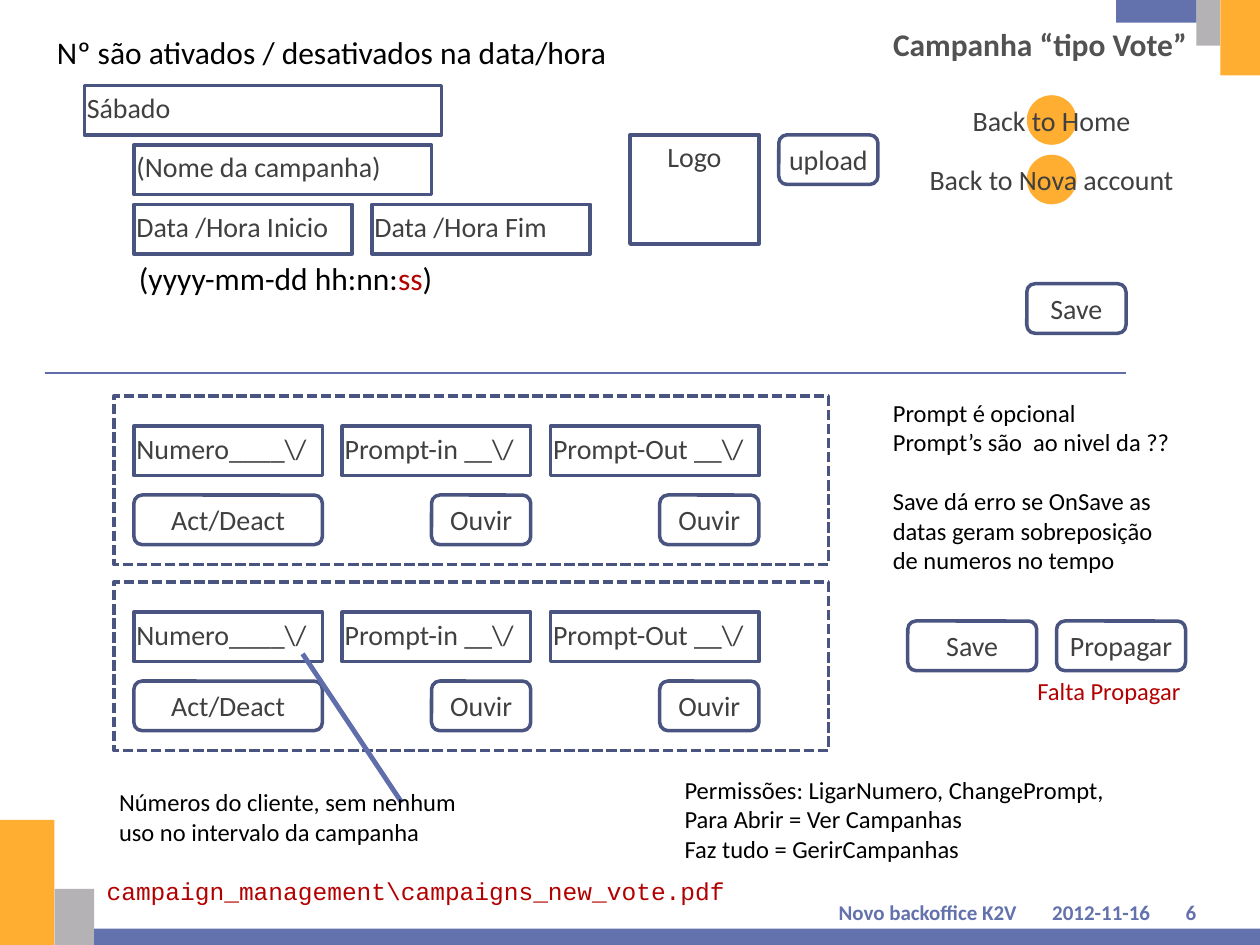
"""Build the campaign form wireframe slide."""
from dataclasses import dataclass
from typing import NamedTuple, Optional

from lxml.etree import SubElement
from pptx import Presentation
from pptx.dml.color import RGBColor
from pptx.enum.dml import MSO_LINE_DASH_STYLE as Dash
from pptx.enum.shapes import MSO_CONNECTOR, MSO_SHAPE as Kind
from pptx.enum.text import MSO_ANCHOR as Anchor, MSO_AUTO_SIZE, PP_ALIGN as Align
from pptx.oxml.ns import qn
from pptx.util import Cm, Pt

ORANGE = RGBColor(0xFF, 0xAE, 0x31)
GREY = RGBColor(0xB5, 0xB2, 0xB5)
BLUE = RGBColor(0x63, 0x71, 0xAD)
LINE_BLUE = RGBColor(0x5F, 0x6D, 0xAB)
BORDER = RGBColor(0x49, 0x54, 0x80)
TITLE = RGBColor(0x52, 0x52, 0x52)
INK = RGBColor(0x40, 0x40, 0x40)
BLACK = RGBColor(0, 0, 0)
RED = RGBColor(0xB3, 0, 0)


class Area(NamedTuple):
    left: float
    top: float
    width: float
    height: float


class Insets(NamedTuple):
    left: float
    top: float
    right: float
    bottom: float


class Piece(NamedTuple):
    text: str
    color: RGBColor


DEFAULT = Insets(0.25, 0.13, 0.25, 0.13)
SMALL = Insets(0.1, 0.1, 0.1, 0.1)
FIELD = Insets(0.05, 0.1, 0.05, 0.1)
FOOTER = Insets(0.2, 0.2, 0.2, 0)


@dataclass(frozen=True)
class Style:
    size: float
    color: RGBColor = BLACK
    font: str = "Calibri"
    bold: bool = False
    align: Align = Align.LEFT
    anchor: Anchor = Anchor.TOP
    insets: Insets = SMALL
    wrap: bool = True
    gap: float = 0


@dataclass(frozen=True)
class Box:
    area: Area
    text: str = ""
    kind: Kind = Kind.RECTANGLE
    style: Style = Style(16, INK, insets=FIELD)
    fill: Optional[RGBColor] = None
    dashed: bool = False


@dataclass(frozen=True)
class Label:
    area: Area
    paragraphs: tuple
    style: Style


@dataclass(frozen=True)
class Rule:
    start: tuple
    end: tuple
    weight: float


CENTERED = Style(16, INK, align=Align.CENTER, insets=FIELD)
BUBBLE = Style(16, INK, align=Align.CENTER, anchor=Anchor.MIDDLE, wrap=False)
NOTE = Style(14)
FOOT = {"size": 12, "color": BLUE, "bold": True, "anchor": Anchor.MIDDLE, "insets": FOOTER}


def write_text(shape, paragraphs: tuple, style: Style) -> None:
    """Fill a shape with styled paragraphs of text pieces."""
    frame = shape.text_frame
    frame.auto_size = MSO_AUTO_SIZE.NONE
    frame.word_wrap = style.wrap
    frame.vertical_anchor = style.anchor
    frame.margin_left, frame.margin_top, frame.margin_right, frame.margin_bottom = map(
        Cm, style.insets)
    for index, content in enumerate(paragraphs):
        paragraph = frame.add_paragraph() if index else frame.paragraphs[0]
        paragraph.alignment = style.align
        if index and index == len(paragraphs) - 1:
            paragraph.space_before = Pt(style.gap)
        pieces = (Piece(content, style.color),) if isinstance(content, str) else content
        for piece in pieces:
            for number, line in enumerate(piece.text.split("\n")):
                if number:
                    paragraph.add_line_break()
                run = paragraph.add_run()
                run.text = line
                run.font.name = style.font
                run.font.size = Pt(style.size)
                run.font.bold = style.bold
                run.font.color.rgb = piece.color


def draw_box(slide, box: Box) -> None:
    """Draw a filled or outlined shape with optional text."""
    shape = slide.shapes.add_shape(box.kind, *map(Cm, box.area))
    shape.shadow.inherit = False
    if box.fill is not None:
        shape.fill.solid()
        shape.fill.fore_color.rgb = box.fill
        shape.line.fill.background()
    else:
        shape.fill.background()
        shape.line.color.rgb = BORDER
        shape.line.width = Pt(2)
    if box.dashed:
        shape.line.dash_style = Dash.SQUARE_DOT
    if box.text:
        write_text(shape, (box.text,), box.style)


def draw_label(slide, label: Label) -> None:
    """Draw a text box."""
    shape = slide.shapes.add_textbox(*map(Cm, label.area))
    write_text(shape, label.paragraphs, label.style)


def draw_rule(slide, rule: Rule) -> None:
    """Draw a straight line."""
    connector = slide.shapes.add_connector(
        MSO_CONNECTOR.STRAIGHT, *map(Cm, rule.start + rule.end))
    connector.line.color.rgb = LINE_BLUE
    connector.line.width = Pt(rule.weight)
    SubElement(connector._element.spPr, qn("a:effectLst"))


def field(left: float, top: float, width: float, text: str) -> Box:
    """Describe an input field."""
    return Box(Area(left, top, width, 1), text)


def button(left: float, top: float, width: float, text: str) -> Box:
    """Describe a rounded button."""
    return Box(Area(left, top, width, 1), text, Kind.ROUNDED_RECTANGLE, CENTERED)


def number_group(top: float) -> list:
    """Describe a dashed group of number and prompt fields."""
    upper, lower = top + 0.61, top + 2
    return [
        Box(Area(2.3, top, 14.4, 3.4), dashed=True),
        field(2.7, upper, 3.8, "Numero____\\/"),
        field(6.9, upper, 3.8, "Prompt-in __\\/"),
        field(11.1, upper, 4.2, "Prompt-Out __\\/"),
        button(2.7, lower, 3.8, "Act/Deact"),
        button(8.7, lower, 2, "Ouvir"),
        button(13.3, lower, 2, "Ouvir"),
    ]


BANDS = [
    Box(Area(0, 16.53, 1.1, 2.52), fill=ORANGE),
    Box(Area(1.1, 17.92, 0.8, 1.13), fill=GREY),
    Box(Area(1.9, 18.72, 23.5, 0.33), fill=BLUE),
    Box(Area(24.6, 0, 0.8, 1.52), fill=ORANGE),
    Box(Area(24.12, 0, 0.48, 0.92), fill=GREY),
    Box(Area(22.5, 0, 1.62, 0.46), fill=BLUE),
]
BUBBLES = [
    Box(Area(20.7, top, 1, 1), text, Kind.OVAL, BUBBLE, ORANGE)
    for top, text in ((3.12, "Back to Nova account"), (1.92, "Back to Home"))
]
FORM = [
    field(1.7, 1.72, 7.2, "Sábado"),
    field(2.7, 2.92, 6, "(Nome da campanha)"),
    field(2.7, 4.12, 4.4, "Data /Hora Inicio"),
    field(7.5, 4.12, 4.4, "Data /Hora Fim"),
    Box(Area(12.7, 2.72, 2.6, 2.2), "Logo", style=CENTERED),
    button(15.7, 2.72, 2, "upload"),
    button(20.7, 5.72, 2, "Save"),
    button(18.3, 12.52, 2.6, "Save"),
    button(21.3, 12.52, 2.6, "Propagar"),
]
RULES = [Rule((6.1, 13.18), (8.1, 16.18), 2.75), Rule((0.9, 7.52), (22.7, 7.52), 0.75)]
LABELS = [
    Label(Area(20.9, 17.93, 2.6, 0.71), ("2012-11-16",), Style(align=Align.CENTER, **FOOT)),
    Label(Area(1.3, 17.93, 19.4, 0.71), ("Novo backoffice K2V",),
          Style(align=Align.RIGHT, **FOOT)),
    Label(Area(23.7, 17.93, 1, 0.71), ("6",), Style(**FOOT)),
    Label(Area(0.9, 0.53, 12.6, 1.02), ("Nº são ativados / desativados na data/hora",),
          Style(18, insets=DEFAULT)),
    Label(Area(2.7, 5.12, 8.2, 0.97),
          ((Piece("(yyyy-mm-dd hh:nn:", BLACK), Piece("ss", RED), Piece(")", BLACK)),),
          Style(18)),
    Label(Area(2.3, 15.77, 7.8, 1.4),
          ("Números do cliente, sem nenhum uso no intervalo da campanha",), NOTE),
    Label(Area(13.7, 15.52, 10.8, 2),
          ("Permissões: LigarNumero, ChangePrompt,\nPara Abrir = Ver Campanhas\n"
           "Faz tudo = GerirCampanhas",), NOTE),
    Label(Area(17.9, 7.92, 6, 3.78),
          ("Prompt é opcional", "Prompt’s são  ao nivel da ??",
           "Save dá erro se OnSave as datas geram sobreposição de numeros no tempo"),
          Style(14, gap=17)),
    Label(Area(1.9, 17.53, 20, 0.86), ("campaign_management\\campaigns_new_vote.pdf",),
          Style(14, RED, "Courier New", insets=DEFAULT)),
    Label(Area(19.9, 13.52, 4, 0.81), ("Falta Propagar",), Style(14, RED, align=Align.RIGHT)),
]

presentation = Presentation()
presentation.slide_width, presentation.slide_height = Cm(25.4), Cm(19.05)
slide = presentation.slides.add_slide(presentation.slide_layouts[5])
title = slide.shapes.title
title.left, title.top, title.width, title.height = map(Cm, Area(12.14, 0.38, 12.04, 1))
write_text(title, ("Campanha “tipo Vote”",),
           Style(18, TITLE, bold=True, align=Align.RIGHT, anchor=Anchor.MIDDLE, insets=DEFAULT))
for box in BANDS + FORM + number_group(7.98) + number_group(11.73) + BUBBLES:
    draw_box(slide, box)
for rule in RULES:
    draw_rule(slide, rule)
for label in LABELS:
    draw_label(slide, label)
presentation.save("out.pptx")
